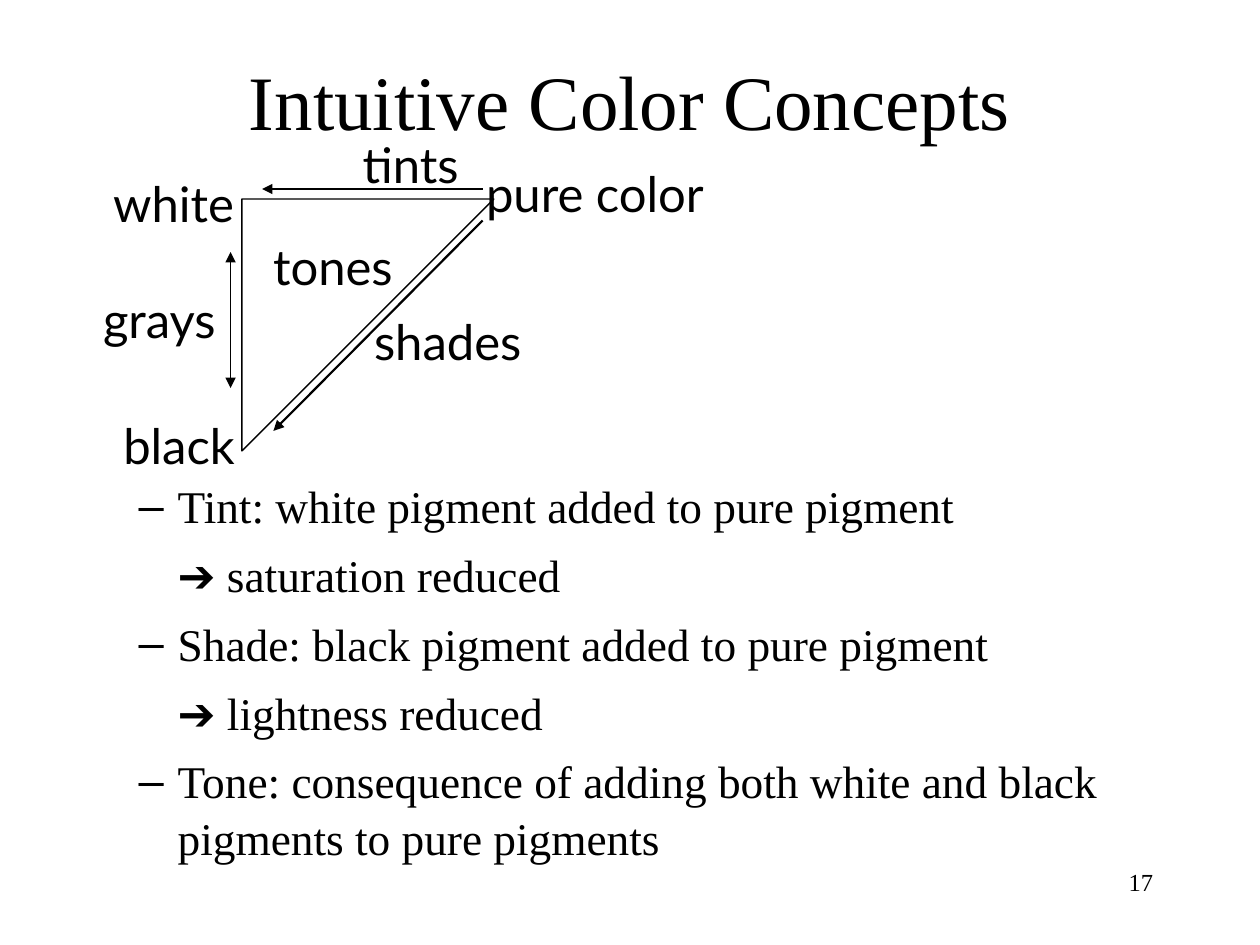
from lxml import etree
from pptx import Presentation, util as u
from pptx.dml.color import RGBColor
from pptx.enum import shapes, text
from pptx.oxml.ns import qn

BLACK = RGBColor(0, 0, 0)
SERIF, SANS = "Times New Roman", "Lato"

deck = Presentation()
deck.slide_width, deck.slide_height = u.Inches(10), u.Inches(7.5)
slide = deck.slides.add_slide(deck.slide_layouts[1])
title, body = slide.placeholders


def style(paragraph, size, face, align=text.PP_ALIGN.LEFT):
    paragraph.alignment = align
    paragraph.font.size, paragraph.font.name = u.Pt(size), face
    paragraph.font.color.rgb = BLACK


def place(box, left, top, width, height):
    box.left, box.top = u.Inches(left), u.Inches(top)
    box.width, box.height = u.Inches(width), u.Inches(height)


# Title
place(title, 0.75, 0.17, 8.5, 1.25)
title.text_frame.text = "Intuitive Color Concepts"
title.text_frame.vertical_anchor = text.MSO_ANCHOR.MIDDLE
style(title.text_frame.paragraphs[0], 44, SERIF, text.PP_ALIGN.CENTER)

# Definitions, each dash item followed by its consequence
definitions = [
    ("", "Tint: white pigment added to pure pigment"),
    ("➔", " saturation reduced"),
    ("", "Shade: black pigment added to pure pigment"),
    ("➔", " lightness reduced"),
    ("", "Tone: consequence of adding both white and black pigments to pure pigments"),
]
place(body, 0.5, 3.73, 8.83, 3.35)
body.text_frame.auto_size = text.MSO_AUTO_SIZE.NONE
for i, (arrow, wording) in enumerate(definitions):
    line = body.text_frame.paragraphs[0] if i == 0 else body.text_frame.add_paragraph()
    line.level = 1
    line.space_before, line.line_spacing = u.Pt(7), 1.04
    props = line._p.get_or_add_pPr()
    props.set("marL", str(u.Inches(0.81)))
    if arrow:
        props.set("indent", "0")
        etree.SubElement(props, qn("a:buNone"))
        mark = line.add_run()
        mark.text, mark.font.name = arrow, "Arial"
    else:
        props.set("indent", str(u.Inches(-0.31)))
        etree.SubElement(props, qn("a:buChar"), char="–")
    line.add_run().text = wording
    style(line, 25.9, SERIF)

# Color triangle: white and pure color on top, black at the bottom
triangle = slide.shapes.add_shape(
    shapes.MSO_SHAPE.RIGHT_TRIANGLE, *map(u.Inches, (1.92, 1.58, 2, 2)))
triangle._element.spPr.find(qn("a:xfrm")).set("flipV", "1")
triangle.shadow.inherit = False
triangle.fill.background()
triangle.line.color.rgb, triangle.line.width = BLACK, u.Pt(0.75)

# Arrows along the sides
arrows = [
    ((3.83, 1.5, 2.08, 1.5), 1.25, ["tailEnd"]),
    ((3.83, 1.75, 2.17, 3.42), 1.25, ["tailEnd"]),
    ((1.83, 2, 1.83, 3.08), 0.75, ["headEnd", "tailEnd"]),
]
for ends, weight, heads in arrows:
    arrow = slide.shapes.add_connector(
        shapes.MSO_CONNECTOR.STRAIGHT, *map(u.Inches, ends))
    arrow.line.color.rgb, arrow.line.width = BLACK, u.Pt(weight)
    for head in heads:
        etree.SubElement(arrow.line._get_or_add_ln(), qn(f"a:{head}"), type="triangle")
    etree.SubElement(arrow._element.spPr, qn("a:effectLst"))

# Labels around the triangle, then the page number
LEFT, RIGHT = text.PP_ALIGN.LEFT, text.PP_ALIGN.RIGHT
labels = [
    ("tints", 2.78, 1.02, 1, 0.57, 28, SANS, LEFT),
    ("shades", 2.87, 2.42, 1.49, 0.57, 28, SANS, LEFT),
    ("pure color", 3.76, 1.25, 2.07, 0.57, 28, SANS, LEFT),
    ("white", 0.8, 1.33, 1.2, 0.57, 28, SANS, LEFT),
    ("black", 0.88, 3.25, 1.15, 0.57, 28, SANS, LEFT),
    ("grays", 0.72, 2.25, 1.2, 0.57, 28, SANS, LEFT),
    ("tones", 2.07, 1.83, 1.22, 0.57, 28, SANS, LEFT),
    ("17", 7.17, 6.83, 2.08, 0.5, 14, SERIF, RIGHT),
]
for wording, left, top, width, height, size, face, align in labels:
    label = slide.shapes.add_textbox(*map(u.Inches, (left, top, width, height)))
    label.text_frame.text = wording
    label.text_frame.word_wrap = align == RIGHT
    style(label.text_frame.paragraphs[0], size, face, align)

deck.save("out.pptx")
